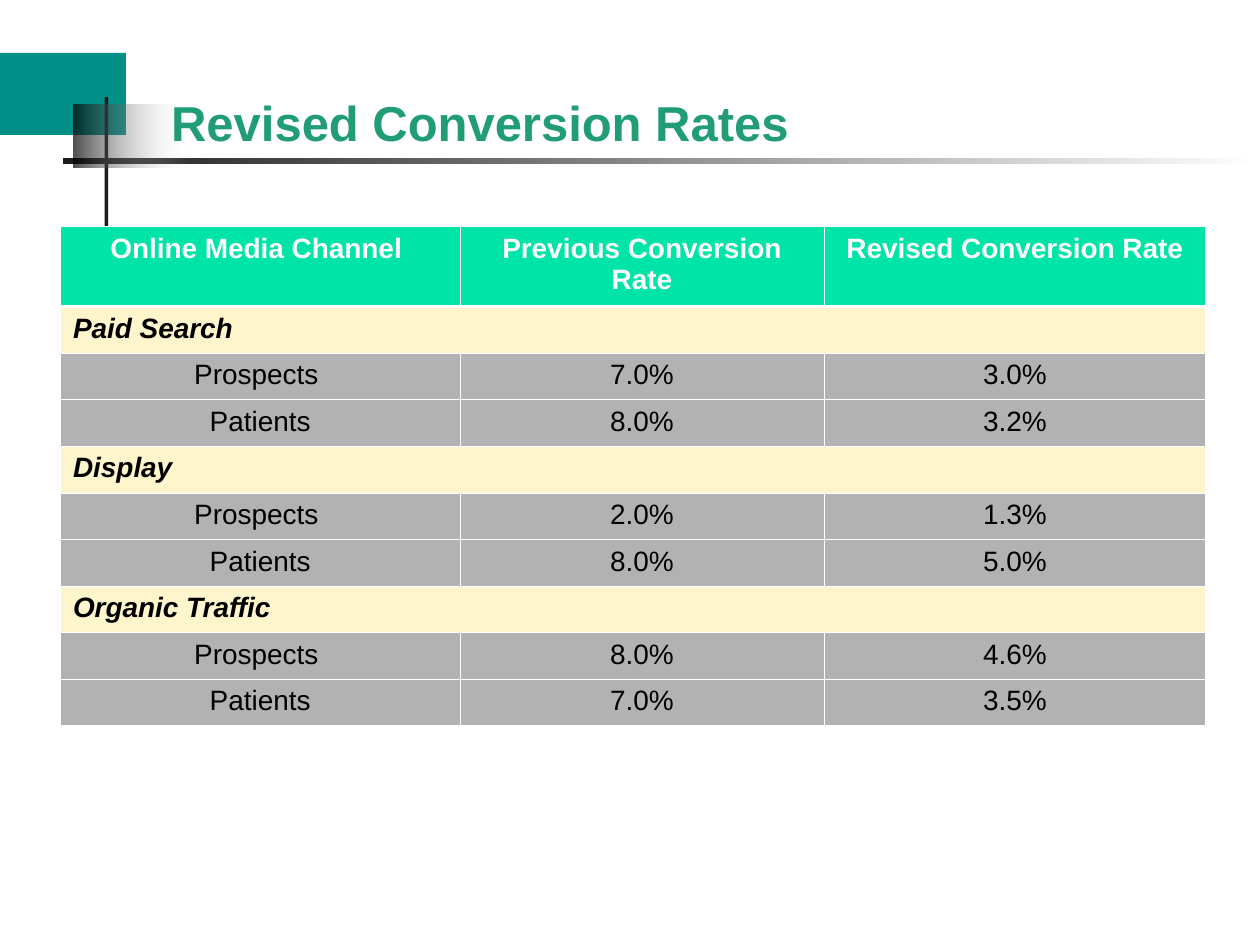
"""Build the Revised Conversion Rates slide."""
from dataclasses import dataclass
from typing import Optional

from pptx import Presentation
from pptx.dml.color import RGBColor
from pptx.enum import shapes, text
from pptx.oxml import ns, xmlchemy
from pptx.util import Inches, Pt


@dataclass(frozen=True)
class Theme:
    font: str = "Arial"
    title_size: float = 28
    table_size: float = 16
    title: str = "209C77"
    teal: str = "009088"
    ink: str = "1C1C1C"
    black: str = "000000"
    white: str = "FFFFFF"
    header: str = "00E4A8"
    section: str = "FFF5CC"
    body: str = "B2B2B2"
    grid: float = 0.45
    header_rule: float = 1.47


@dataclass(frozen=True)
class Bar:
    left: float
    top: float
    width: float
    height: float
    color: str
    fade_to: Optional[str] = None
    opacity: Optional[tuple[int, int]] = None


@dataclass(frozen=True)
class RowStyle:
    fill: str
    color: str
    bold: bool = False
    italic: bool = False
    align: text.PP_ALIGN = text.PP_ALIGN.CENTER
    top: float = Theme.grid
    bottom: float = Theme.grid


T = Theme()
BARS = [
    Bar(0, 0.42, 1, 0.65, T.teal),
    Bar(0.83, 0.77, 0.03, 1.15, T.ink),
    Bar(0.5, 1.25, 9.5, 0.05, T.ink, T.white),
    Bar(0.58, 0.83, 0.92, 0.5, T.black, T.white, (69, 0)),
]
HEADER = RowStyle(T.header, T.white, bold=True, bottom=T.header_rule)
SECTION = RowStyle(T.section, T.black, True, True, text.PP_ALIGN.LEFT)
FIRST_SECTION = RowStyle(T.section, T.black, True, True, text.PP_ALIGN.LEFT, T.header_rule)
BODY = RowStyle(T.body, T.black)
COLUMNS = {
    "Online Media Channel ": 3.17,
    "Previous Conversion Rate": 2.89,
    "Revised Conversion Rate": 3.03,
}
HEADER_HEIGHT, ROW_HEIGHT = 0.63, 0.37
RATES = {
    "Paid Search": [("Prospects ", "7.0%", "3.0%"), ("Patients", "8.0%", "3.2%")],
    "Display": [("Prospects ", "2.0%", "1.3%"), ("Patients", "8.0%", "5.0%")],
    "Organic Traffic": [("Prospects ", "8.0%", "4.6%"), ("Patients", "7.0%", "3.5%")],
}


def rgb(color: str) -> RGBColor:
    return RGBColor.from_string(color)


def style_font(font, size: float, color: str, bold: bool, italic: bool = False) -> None:
    font.name, font.size = T.font, Pt(size)
    font.bold, font.italic = bold, italic
    font.color.rgb = rgb(color)


def add_bar(s, bar: Bar) -> None:
    sp = s.shapes.add_shape(
        shapes.MSO_SHAPE.RECTANGLE,
        *map(Inches, (bar.left, bar.top, bar.width, bar.height)),
    )
    sp.shadow.inherit = False
    sp.line.fill.background()
    if bar.fade_to is None:
        sp.fill.solid()
        sp.fill.fore_color.rgb = rgb(bar.color)
        return
    sp.fill.gradient()
    sp.fill.gradient_angle = 0
    for stop, color in zip(sp.fill.gradient_stops, (bar.color, bar.fade_to)):
        stop.color.rgb = rgb(color)
    if bar.opacity:
        colors = sp._element.spPr.iter(ns.qn("a:srgbClr"))
        for color, percent in zip(colors, bar.opacity):
            alpha = xmlchemy.OxmlElement("a:alpha")
            alpha.set("val", str(percent * 1000))
            color.append(alpha)


def add_title(s, title: str) -> None:
    tf = s.shapes.add_textbox(*map(Inches, (1.26, 0.33, 8.32, 0.92))).text_frame
    tf.word_wrap = True
    tf.vertical_anchor = text.MSO_ANCHOR.BOTTOM
    tf.text = title
    style_font(tf.paragraphs[0].runs[0].font, T.title_size, T.title, True)


def set_borders(cell, top: float, bottom: float) -> None:
    tc_pr = cell._tc.get_or_add_tcPr()
    widths = {"lnL": T.grid, "lnR": T.grid, "lnT": top, "lnB": bottom}
    for i, (side, width) in enumerate(widths.items()):
        ln = xmlchemy.OxmlElement(f"a:{side}")
        ln.set("w", str(Pt(width)))
        fill = xmlchemy.OxmlElement("a:solidFill")
        color = xmlchemy.OxmlElement("a:srgbClr")
        color.set("val", T.white)
        fill.append(color)
        ln.append(fill)
        tc_pr.insert(i, ln)


def fill_row(row, values: tuple[str, ...], style: RowStyle) -> None:
    cells = list(row.cells)
    if len(values) == 1:
        cells[0].merge(cells[-1])
    for cell in cells:
        cell.fill.solid()
        cell.fill.fore_color.rgb = rgb(style.fill)
        set_borders(cell, style.top, style.bottom)
    for cell, value in zip(cells, values):
        cell.text_frame.text = value
        p = cell.text_frame.paragraphs[0]
        p.alignment = style.align
        style_font(p.runs[0].font, T.table_size, style.color, style.bold, style.italic)


def add_rates_table(s) -> None:
    rows = [(tuple(COLUMNS), HEADER)]
    for i, (channel, rates) in enumerate(RATES.items()):
        rows.append(((channel,), SECTION if i else FIRST_SECTION))
        rows += [(rate, BODY) for rate in rates]
    height = HEADER_HEIGHT + ROW_HEIGHT * (len(rows) - 1)
    table = s.shapes.add_table(
        len(rows), len(COLUMNS),
        *map(Inches, (0.48, 1.8, sum(COLUMNS.values()), height)),
    ).table
    for column, width in zip(table.columns, COLUMNS.values()):
        column.width = Inches(width)
    for i, (row, (values, style)) in enumerate(zip(table.rows, rows)):
        row.height = Inches(ROW_HEIGHT if i else HEADER_HEIGHT)
        fill_row(row, values, style)


def main() -> None:
    prs = Presentation()
    prs.slide_width, prs.slide_height = Inches(10), Inches(7.5)
    s = prs.slides.add_slide(prs.slide_layouts[6])
    for bar in BARS:
        add_bar(s, bar)
    add_title(s, "Revised Conversion Rates")
    add_rates_table(s)
    prs.save("out.pptx")


if __name__ == "__main__":
    main()
